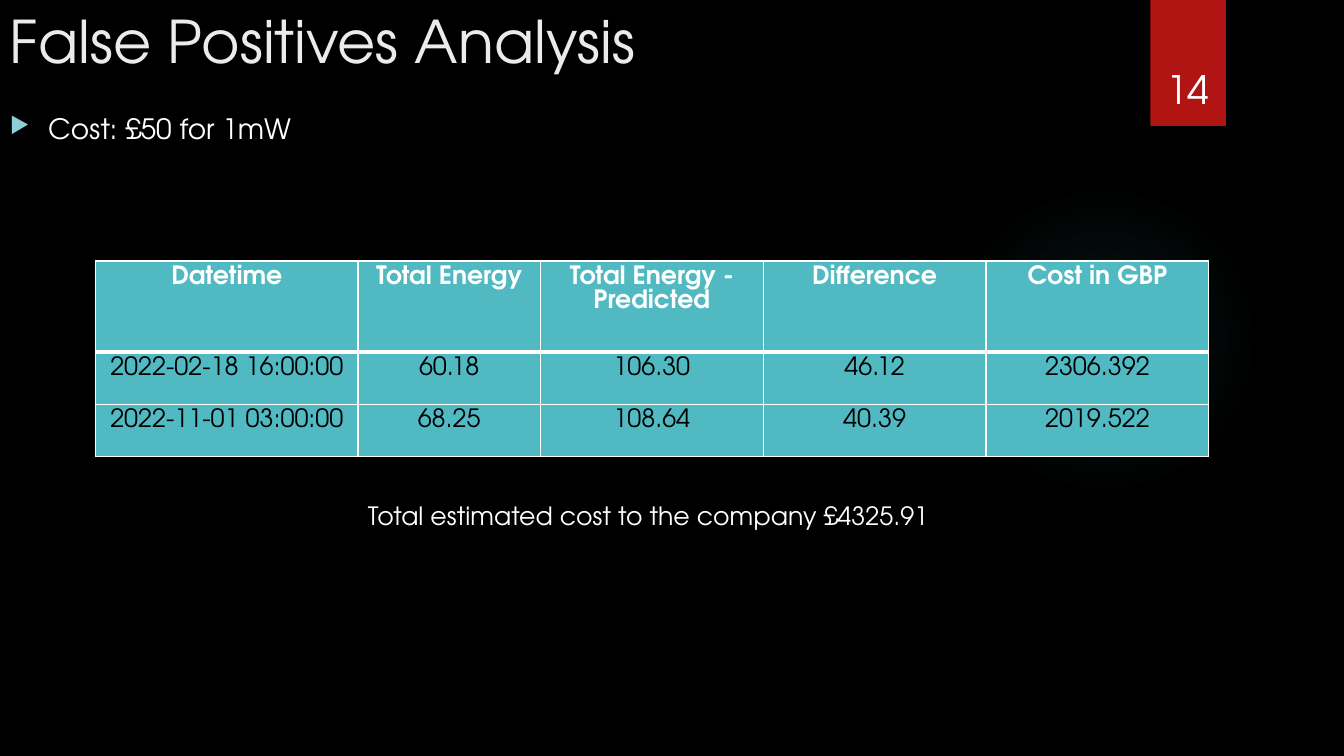
from dataclasses import dataclass

from lxml.etree import SubElement
from pptx import Presentation
from pptx.dml.color import RGBColor
from pptx.enum.shapes import MSO_SHAPE as Shape
from pptx.enum.text import MSO_ANCHOR as Anchor, PP_ALIGN as Align
from pptx.oxml import parse_xml
from pptx.oxml.ns import nsdecls, qn
from pptx.util import Emu, Pt

FONT = "TeX Gyre Adventor"
BLACK = RGBColor(0x00, 0x00, 0x00)
WHITE = RGBColor(0xFF, 0xFF, 0xFF)
TITLE_GREY = RGBColor(0xEB, 0xEB, 0xEB)
TEAL = RGBColor(0x50, 0xB9, 0xC1)
LIGHT_TEAL = RGBColor(0x8A, 0xD0, 0xD6)
RED = RGBColor(0xB0, 0x15, 0x13)

COLUMN_WIDTHS = (260, 181, 221, 221, 221)
ROW_HEIGHTS = (90, 52, 52)
ROWS = (
    ("Datetime", "Total Energy", "Total Energy - Predicted", "Difference", "Cost in GBP"),
    ("2022-02-18 16:00:00", "60.18", "106.30", "46.12", "2306.392"),
    ("2022-11-01 03:00:00", "68.25", "108.64", "40.39", "2019.522"),
)


def px(length: int) -> Emu:
    """Convert px, at 100 to the inch, into EMU."""
    return Emu(length * 9144)


@dataclass(frozen=True)
class Box:
    left: int
    top: int
    width: int
    height: int

    def emu(self) -> tuple[Emu, ...]:
        return tuple(px(n) for n in (self.left, self.top, self.width, self.height))


@dataclass(frozen=True)
class Label:
    text: str
    box: Box
    size: int
    color: RGBColor = WHITE
    align: Align = Align.LEFT
    anchor: Anchor = Anchor.TOP
    wrap: bool = True
    bullet: bool = False


LABELS = (
    Label("False Positives Analysis", Box(0, 0, 1083, 162), 42, TITLE_GREY),
    Label("Cost: £50 for 1mW", Box(0, 106, 1083, 387), 20, bullet=True),
    Label("Total estimated cost to the company £4325.91", Box(355, 491, 585, 40), 18, wrap=False),
    Label("14", Box(1132, 32, 92, 84), 28, align=Align.CENTER, anchor=Anchor.BOTTOM),
)


def style_paragraph(paragraph, size: int, color: RGBColor, align: Align, bold: bool = False) -> None:
    paragraph.alignment = align
    paragraph.font.name = FONT
    paragraph.font.size = Pt(size)
    paragraph.font.bold = bold
    paragraph.font.color.rgb = color


def add_bullet(paragraph) -> None:
    paragraph.space_before = Pt(10)
    properties = paragraph._p.get_or_add_pPr()
    properties.set("marL", str(px(38)))
    properties.set("indent", str(-px(38)))
    bullet_color = parse_xml(
        f'<a:buClr {nsdecls("a")}><a:srgbClr val="{LIGHT_TEAL}"/></a:buClr>')
    bullet_size = parse_xml(f'<a:buSzPct {nsdecls("a")} val="80000"/>')
    bullet_mark = parse_xml(f'<a:buChar {nsdecls("a")} char="▶"/>')
    default_run = properties.find(qn("a:defRPr"))
    for element in (bullet_color, bullet_size, bullet_mark):
        default_run.addprevious(element)


def add_label(slide, label: Label) -> None:
    frame = slide.shapes.add_textbox(*label.box.emu()).text_frame
    frame.word_wrap = label.wrap
    frame.vertical_anchor = label.anchor
    paragraph = frame.paragraphs[0]
    paragraph.text = label.text
    style_paragraph(paragraph, label.size, label.color, label.align)
    if label.bullet:
        add_bullet(paragraph)


def add_plain_shape(slide, kind: Shape, box: Box):
    shape = slide.shapes.add_shape(kind, *box.emu())
    shape.shadow.inherit = False
    shape.line.fill.background()
    return shape


def add_glow(slide) -> None:
    shape = add_plain_shape(slide, Shape.OVAL, Box(941, 183, 308, 308))
    stops = "".join(
        f'<a:gs pos="{position}000"><a:srgbClr val="{TEAL}">'
        f'<a:alpha val="{alpha}000"/></a:srgbClr></a:gs>'
        for position, alpha in ((0, 7), (36, 6), (69, 0)))
    gradient = parse_xml(
        f'<a:gradFill {nsdecls("a")}><a:gsLst>{stops}</a:gsLst><a:path path="circle">'
        '<a:fillToRect l="50000" t="50000" r="50000" b="50000"/></a:path></a:gradFill>')
    shape._element.spPr.find(qn("a:prstGeom")).addnext(gradient)


def set_borders(cell, top: int, bottom: int) -> None:
    properties = cell._tc.get_or_add_tcPr()
    widths = (("L", 1), ("R", 1), ("T", top), ("B", bottom))
    for index, (side, width) in enumerate(widths):
        line = SubElement(properties, qn(f"a:ln{side}"), w=str(Pt(width)))
        fill = SubElement(line, qn("a:solidFill"))
        SubElement(fill, qn("a:srgbClr"), val=str(WHITE))
        properties.insert(index, line)


def add_cost_table(slide) -> None:
    box = Box(95, 259, sum(COLUMN_WIDTHS), sum(ROW_HEIGHTS))
    table = slide.shapes.add_table(len(ROWS), len(COLUMN_WIDTHS), *box.emu()).table
    table.first_row = table.horz_banding = False
    for column, width in zip(table.columns, COLUMN_WIDTHS):
        column.width = px(width)
    for row_index, (row, height, texts) in enumerate(zip(table.rows, ROW_HEIGHTS, ROWS)):
        row.height = px(height)
        header = row_index == 0
        for cell, text in zip(row.cells, texts):
            cell.fill.solid()
            cell.fill.fore_color.rgb = TEAL
            set_borders(cell, top=3 if row_index == 1 else 1, bottom=3 if header else 1)
            paragraph = cell.text_frame.paragraphs[0]
            paragraph.text = text
            style_paragraph(paragraph, 18, WHITE if header else BLACK, Align.CENTER, header)


def main() -> None:
    presentation = Presentation()
    presentation.slide_width, presentation.slide_height = px(1333), px(750)
    slide = presentation.slides.add_slide(presentation.slide_layouts[6])
    slide.background.fill.solid()
    slide.background.fill.fore_color.rgb = BLACK

    # Backdrop: soft glow and the page number ribbon
    add_glow(slide)
    ribbon = add_plain_shape(slide, Shape.RECTANGLE, Box(1141, 0, 75, 125))
    ribbon.fill.solid()
    ribbon.fill.fore_color.rgb = RED

    # Table and texts
    add_cost_table(slide)
    for label in LABELS:
        add_label(slide, label)

    presentation.save("out.pptx")


if __name__ == "__main__":
    main()
